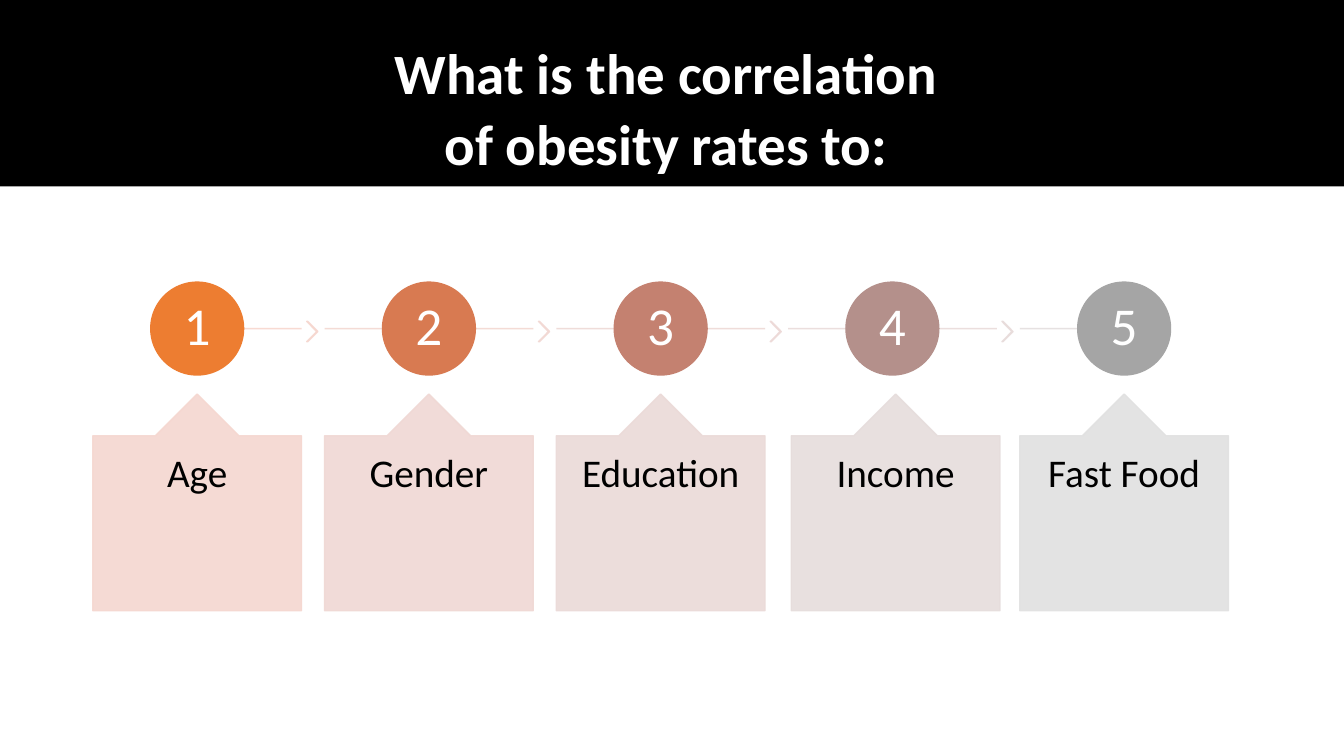
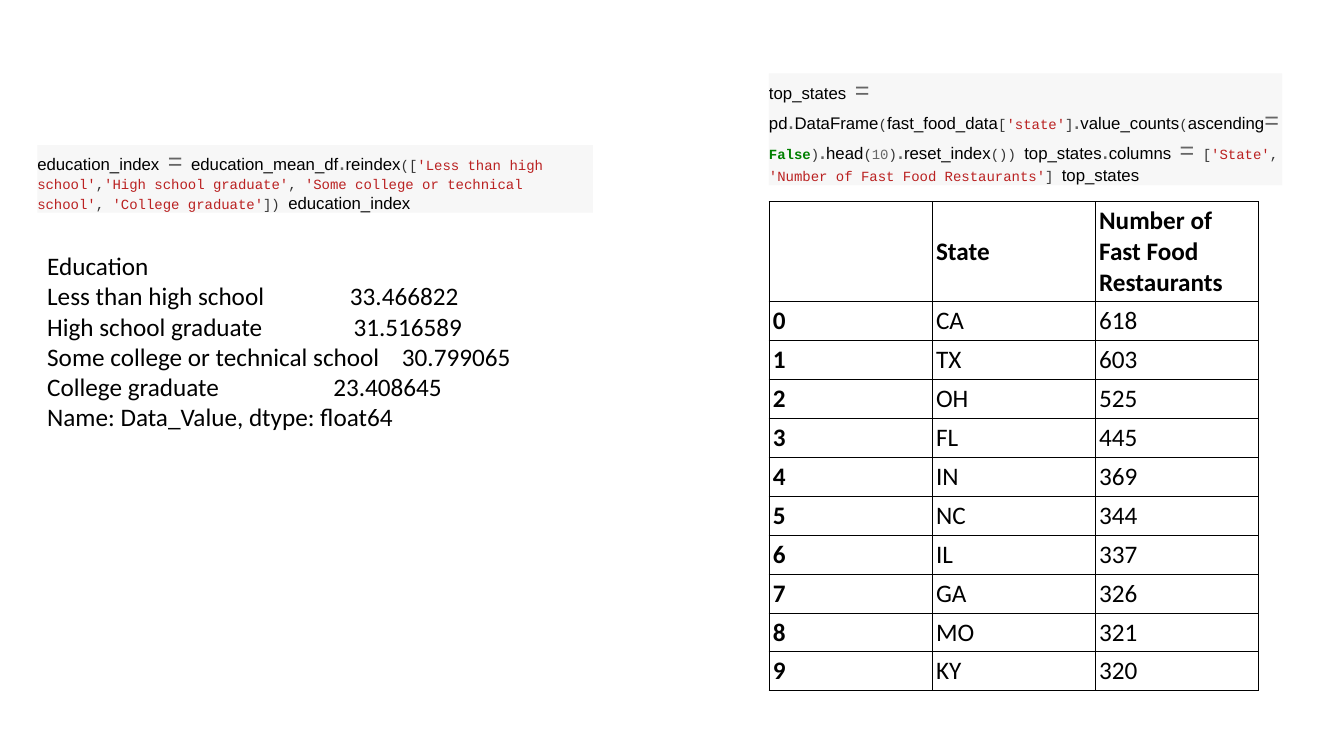
from pptx import Presentation
from pptx.dml.color import RGBColor
from pptx.enum.shapes import MSO_CONNECTOR, MSO_SHAPE
from pptx.enum.text import MSO_ANCHOR, PP_ALIGN
from pptx.oxml.ns import qn
from pptx.util import Cm, Pt
from lxml.etree import SubElement

COLORS = {
    "black": "000000", "white": "FFFFFF", "code_bg": "F7F7F7",
    "code": "333333", "operator": "666666", "string": "BA2121", "keyword": "008000",
}
TITLE = ["What is the correlation ", "of obesity rates to: "]
# label, circle, callout, line, chevron, callout shift
STEPS = [
    ("Age", "ED7D31", "F5D7D0", "F8D7CE", "F6D7CF", 0),
    ("Gender", "D87A51", "F0D8D4", "F3D8D1", "F2D8D3", 0),
    ("Education", "C48170", "EBDAD8", "EED9D5", "EDD9D7", 0),
    ("Income", "B4908B", "E6DDDC", "E9DBDA", "E8DCDB", 0.08),
    ("Fast Food", "A5A5A5", "E1E1E1", "E4DEDE", None, 0),
]
CODE_STYLES = {
    "name": dict(size=12, font="Arial", color="black"),
    "op": dict(size=18, font="Arial", color="operator"),
    "code": dict(size=10, font="Courier New", color="code"),
    "num": dict(size=10, font="Courier New", color="operator"),
    "str": dict(size=10, font="Courier New", color="string"),
    "key": dict(size=10, font="Courier New", color="keyword", bold=True),
}
EDUCATION_CODE = [
    ("name", "education_index"), ("code", " "), ("op", "="), ("code", " "),
    ("name", "education_mean_df"), ("op", "."), ("name", "reindex"), ("code", "(["),
    ("str", "'Less than high school'"), ("code", ","),
    ("str", "'High school graduate'"), ("code", ", "),
    ("str", "'Some college or technical school'"), ("code", ", "),
    ("str", "'College graduate'"), ("code", "]) "), ("name", "education_index"),
]
STATES_CODE = [
    ("name", "top_states"), ("code", " "), ("op", "="), ("code", " "),
    ("name", "pd"), ("op", "."), ("name", "DataFrame"), ("code", "("),
    ("name", "fast_food_data"), ("code", "["), ("str", "'state'"), ("code", "]"),
    ("op", "."), ("name", "value_counts"), ("code", "("), ("name", "ascending"),
    ("op", "="), ("key", "False"), ("code", ")"), ("op", "."), ("name", "head"),
    ("code", "("), ("num", "10"), ("code", ")"), ("op", "."), ("name", "reset_index"),
    ("code", "()) "), ("name", "top_states"), ("op", "."), ("name", "columns"),
    ("code", " "), ("op", "="), ("code", " ["), ("str", "'State'"), ("code", ", "),
    ("str", "'Number of Fast Food Restaurants'"), ("code", "] "), ("name", "top_states"),
]
EDUCATION = [
    ("Education", None),
    ("Less than high school\t33.466822", 7.63),
    ("High school graduate\t31.516589", 7.72),
    ("Some college or technical school\t30.799065", 8.94),
    ("College graduate\t23.408645", 7.21),
    ("Name: Data_Value, dtype: float64", None),
]
HEADER = ("", "State", "Number of Fast Food Restaurants")
STATES = [("CA", 618), ("TX", 603), ("OH", 525), ("FL", 445), ("IN", 369),
          ("NC", 344), ("IL", 337), ("GA", 326), ("MO", 321), ("KY", 320)]


def rgb(color):
    return RGBColor.from_string(COLORS.get(color, color))


def add_run(p, text, size=18, color="black", bold=False, font="Calibri"):
    r = p.add_run()
    r.text = text
    for key, value in dict(size=Pt(size), bold=bold, name=font).items():
        setattr(r.font, key, value)
    r.font.color.rgb = rgb(color)


def frame(tf, margins=(0.25, 0.13), anchor=MSO_ANCHOR.TOP):
    x, y = margins
    for key, value in dict(word_wrap=True, vertical_anchor=anchor, margin_left=Cm(x),
                           margin_right=Cm(x), margin_top=Cm(y), margin_bottom=Cm(y)).items():
        setattr(tf, key, value)
    return tf


def add_text(s, box, lines, margins=(0.25, 0.13), anchor=MSO_ANCHOR.TOP, para=None, **font):
    tf = frame(s.shapes.add_textbox(*map(Cm, box)).text_frame, margins, anchor)
    for i, line in enumerate(lines):
        p = tf.add_paragraph() if i else tf.paragraphs[0]
        for key, value in (para or {}).items():
            setattr(p, key, value)
        add_run(p, line, **font)
    return tf


def set_alpha(sp, percent=90):
    for clr in sp._element.spPr.iter(qn("a:srgbClr")):
        SubElement(clr, qn("a:alpha"), val=str(percent * 1000))


def add_shape(s, kind, box, color, adjust=(), outlined=True):
    sp = s.shapes.add_shape(kind, *map(Cm, box))
    sp.shadow.inherit = False
    for i, value in enumerate(adjust):
        sp.adjustments[i] = value
    sp.fill.solid()
    sp.fill.fore_color.rgb = rgb(color)
    if outlined:
        sp.line.color.rgb = rgb(color)
        sp.line.width = Pt(1)
    else:
        sp.line.fill.background()
    return sp


def add_line(s, x1, x2, y, color):
    ln = s.shapes.add_connector(MSO_CONNECTOR.STRAIGHT, Cm(x1), Cm(y), Cm(x2), Cm(y))
    ln.line.color.rgb = rgb(color)
    ln.line.width = Pt(1)
    set_alpha(ln)
    SubElement(ln._element.spPr, qn("a:effectLst"))


def add_code(s, box, tokens):
    sp = add_shape(s, MSO_SHAPE.RECTANGLE, box, "code_bg", outlined=False)
    p = frame(sp.text_frame, (0, 0), MSO_ANCHOR.MIDDLE).paragraphs[0]
    p.alignment = PP_ALIGN.LEFT
    p.space_before = Pt(5)
    for style, text in tokens:
        add_run(p, text, **CODE_STYLES[style])


def add_borders(cell):
    pr = cell._tc.get_or_add_tcPr()
    for i, side in enumerate(("a:lnL", "a:lnR", "a:lnT", "a:lnB")):
        ln = pr.makeelement(qn(side), {"w": str(Pt(0.75))})
        SubElement(SubElement(ln, qn("a:solidFill")), qn("a:srgbClr"), val=COLORS["black"])
        pr.insert(i, ln)


def build_steps(s):
    add_shape(s, MSO_SHAPE.RECTANGLE, (0, 0, 33.87, 4.7), "black", outlined=False)
    add_text(s, (2.34, 1.02, 29.21, 3.68), TITLE, anchor=MSO_ANCHOR.MIDDLE,
             para=dict(alignment=PP_ALIGN.CENTER, line_spacing=0.8, space_after=Pt(12)),
             size=40.7, color="white", bold=True)
    left, pitch, width, circle, label, axis = 2.34, 5.84, 5.26, 2.34, 1.65, 8.28
    centred = dict(alignment=PP_ALIGN.CENTER, line_spacing=0.9)
    for i, (name, fill, pale, line, arrow, shift) in enumerate(STEPS):
        x = left + i * pitch
        mid = x + width / 2
        start = mid if i == 0 else x
        end = x + width if arrow else mid
        add_line(s, start, end, axis, line)
        if arrow:
            set_alpha(add_shape(s, MSO_SHAPE.CHEVRON, (x + 5.39, 8.1, 0.28, 0.51), arrow, [0.9]))
        add_shape(s, MSO_SHAPE.OVAL, (mid - circle / 2, 7.11, circle, circle), fill)
        add_text(s, (mid - label / 2, 7.46, label, label), [str(i + 1)], (0.1, 0.1),
                 MSO_ANCHOR.MIDDLE, centred, size=38, color="white")
        set_alpha(add_shape(s, MSO_SHAPE.UP_ARROW_CALLOUT, (x + shift, 9.93, width, 5.46),
                            pale, [0.5, 0.2, 0.2, 1]))
        add_text(s, (x + shift, 10.97, width, 4.42), [name], (0.41, 0.46), para=centred, size=28)


def build_results(s):
    rows = [HEADER] + [(str(i), state, str(n)) for i, (state, n) in enumerate(STATES)]
    heights = [2.39] + [0.98] * len(STATES)
    table = s.shapes.add_table(len(rows), len(HEADER), Cm(19.38), Cm(5.08),
                               Cm(12.33), Cm(sum(heights))).table
    table.first_row = table.horz_banding = False
    for col in table.columns:
        col.width = Cm(4.11)
    for i, row in enumerate(rows):
        table.rows[i].height = Cm(heights[i])
        for j, text in enumerate(row):
            cell = table.cell(i, j)
            cell.fill.background()
            for side in ("left", "right", "top", "bottom"):
                setattr(cell, "margin_" + side, Cm(0.1))
            cell.vertical_anchor = MSO_ANCHOR.MIDDLE
            if text:
                add_run(cell.text_frame.paragraphs[0], text, bold=i == 0 or j == 0)
            add_borders(cell)
    tf = add_text(s, (0.94, 6.18, 12.32, 4.87), [text for text, _ in EDUCATION])
    for p, (_, stop) in zip(tf.paragraphs, EDUCATION):
        if stop:
            tabs = SubElement(p._p.get_or_add_pPr(), qn("a:tabLst"))
            SubElement(tabs, qn("a:tab"), pos=str(Cm(stop)), algn="l")
    add_code(s, (19.38, 1.85, 12.93, 2.82), STATES_CODE)
    add_code(s, (0.94, 3.66, 14, 1.7), EDUCATION_CODE)


prs = Presentation()
prs.slide_width, prs.slide_height = Cm(33.87), Cm(19.05)
for build in (build_steps, build_results):
    build(prs.slides.add_slide(prs.slide_layouts[6]))
prs.save("out.pptx")
